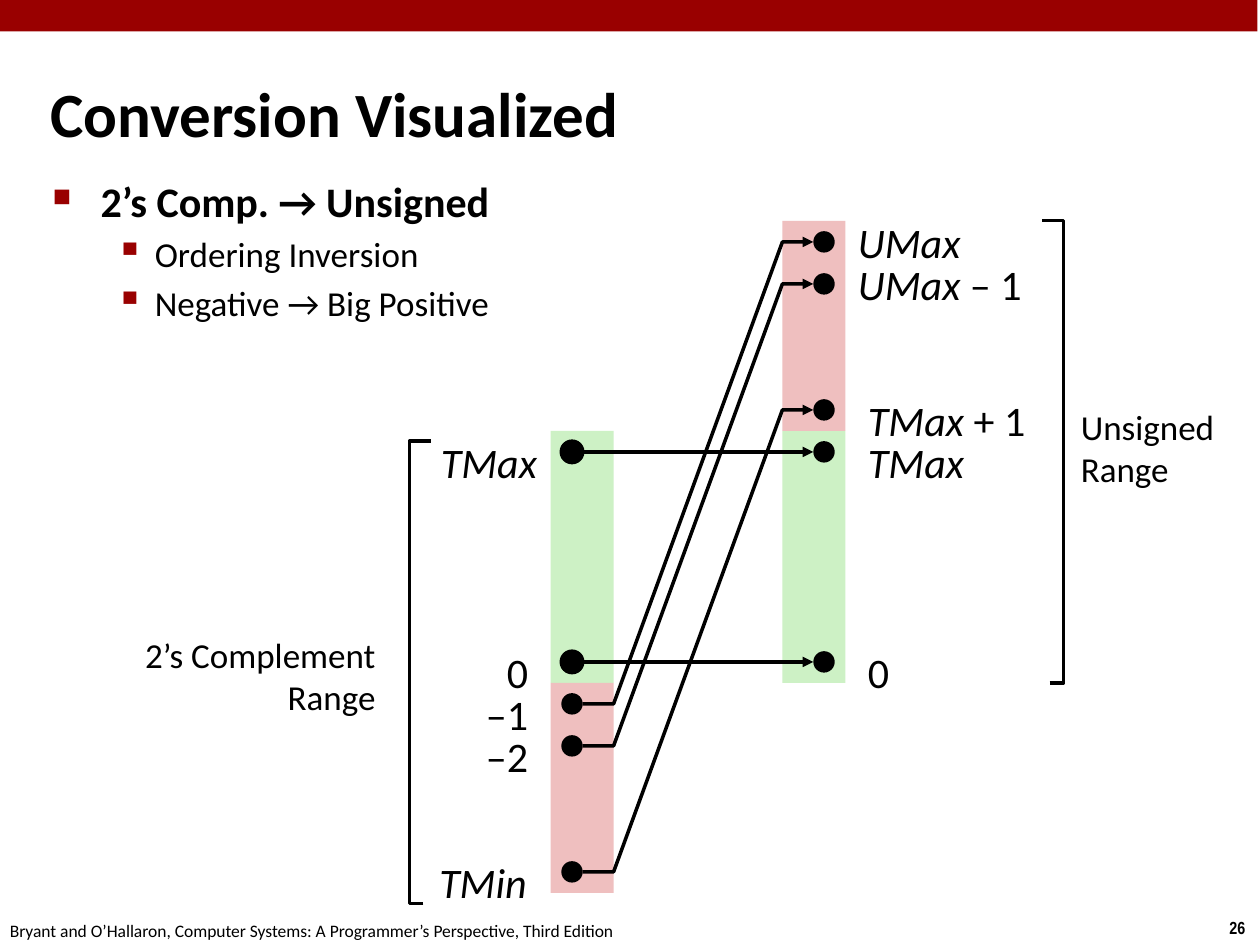
"""Build the slide that maps two's complement values onto unsigned values."""
from dataclasses import dataclass

from lxml.etree import SubElement
from pptx import Presentation
from pptx.dml.color import RGBColor
from pptx.enum.shapes import MSO_CONNECTOR, MSO_SHAPE
from pptx.enum.text import MSO_ANCHOR, PP_ALIGN
from pptx.oxml.ns import qn
from pptx.util import Inches, Pt


@dataclass(frozen=True)
class Theme:
    ink: str = "000000"
    accent: str = "990000"
    positive: str = "CDF1C5"
    shifted: str = "EFBFBF"
    font: str = "Calibri"
    number_font: str = "Arial Narrow"
    title: int = 36
    label: int = 24
    detail: int = 20
    footer: int = 10
    line: int = 2


THEME = Theme()
WIDTH, HEIGHT = 10, 7.5
ROW, FIRST_ROW = 1 / 3, 1.92
DOT, BAR_WIDTH = 0.17, 0.5
SIGNED_BAR, UNSIGNED_BAR = 4.37, 6.21
SIGNED_DOT, UNSIGNED_DOT = 4.54, 6.54

TITLE = "Conversion Visualized"
BULLETS = [
    (0, "2’s Comp. → Unsigned"),
    (1, "Ordering Inversion"),
    (1, "Negative → Big Positive"),
]
BULLET_STYLES = [
    {"mark": "■", "scale": 60, "margin": 0.38, "hang": 0.38, "size": THEME.label, "bold": True},
    {"mark": "▪", "scale": 110, "margin": 0.81, "hang": 0.31, "size": THEME.detail, "bold": False},
]
BARS = [
    (UNSIGNED_BAR, 4.5, 6, THEME.positive),
    (SIGNED_BAR, 4.5, 6, THEME.positive),
    (SIGNED_BAR, 10.5, 5, THEME.shifted),
    (UNSIGNED_BAR, -0.5, 5, THEME.shifted),
]
MAPPINGS = [(10, 10), (5, 5), (11, 0), (12, 1), (15, 4)]
SIGNED_LABELS = [
    (5, 4.36, [("TMax", True)]),
    (10, 4.29, [("0", False)]),
    (11, 4.29, [("–1", False)]),
    (12, 4.29, [("–2", False)]),
    (15, 4.28, [("TMin", True)]),
]
UNSIGNED_LABELS = [
    (0, 6.71, 0.25, [("UMax", True)]),
    (1, 6.71, 0.25, [("UMax", True), (" – 1", False)]),
    (4, 6.79, 0.17, [("TMax ", True), ("+ 1", False)]),
    (5, 6.79, 0.17, [("TMax", True)]),
    (10, 6.79, 0.17, [("0", False)]),
]
BRACKETS = [
    [(3.36, 7.17), (3.25, 7.17), (3.25, 3.5), (3.42, 3.5)],
    [(8.33, 5.42), (8.44, 5.42), (8.44, 1.75), (8.27, 1.75)],
]
RANGES = [
    (0.75, 4.98, 2.33, ["2’s Complement Range"], PP_ALIGN.RIGHT),
    (8.48, 3.17, 1.37, ["Unsigned", "Range"], PP_ALIGN.LEFT),
]
FOOTER = "Bryant and O’Hallaron, Computer Systems: A Programmer’s Perspective, Third Edition"
PAGE_NUMBER = "26"


def color(value):
    return RGBColor.from_string(value)


def row_y(row):
    return FIRST_ROW + row * ROW


def add_block(page, kind, left, top, width, height, fill):
    block = page.shapes.add_shape(kind, *map(Inches, (left, top, width, height)))
    block.shadow.inherit = False
    block.fill.solid()
    block.fill.fore_color.rgb = color(fill)
    block.line.fill.background()
    return block


def ink_line(shape, arrow=False):
    shape.line.color.rgb = color(THEME.ink)
    shape.line.width = Pt(THEME.line)
    if arrow:
        SubElement(shape.line._get_or_add_ln(), qn("a:tailEnd"), type="triangle")


def add_path(page, points, arrow=False):
    inches = [(Inches(x), Inches(y)) for x, y in points]
    builder = page.shapes.build_freeform(*inches[0])
    builder.add_line_segments(inches[1:], close=False)
    path_shape = builder.convert_to_shape()
    path_shape.shadow.inherit = False
    path_shape.fill.background()
    ink_line(path_shape, arrow)


def add_arrow(page, start, end):
    arrow = page.shapes.add_connector(MSO_CONNECTOR.STRAIGHT, *map(Inches, start + end))
    ink_line(arrow, arrow=True)
    SubElement(arrow._element.spPr, qn("a:effectLst"))


def add_box(page, left, top, width, height):
    box = page.shapes.add_textbox(*map(Inches, (left, top, width, height)))
    box.text_frame.word_wrap = True
    return box.text_frame


def add_span(para, text, size, bold=False, italic=False, font=THEME.font):
    span = para.add_run()
    span.text = text
    span.font.name = font
    span.font.size = Pt(size)
    span.font.bold = bold
    span.font.italic = italic
    span.font.color.rgb = color(THEME.ink)


def add_label(page, left, top, width, spans, align):
    para = add_box(page, left, top, width, 0.51).paragraphs[0]
    para.alignment = align
    for text, italic in spans:
        add_span(para, text, THEME.label, italic=italic)


def next_para(frame, index):
    return frame.add_paragraph() if index else frame.paragraphs[0]


def add_bullets(page):
    frame = add_box(page, 0.32, 1.34, 4.55, 1.88)
    for index, (level, text) in enumerate(BULLETS):
        style = BULLET_STYLES[level]
        para = next_para(frame, index)
        para.level = level
        if index:
            para.space_before = Pt(style["size"] * 0.2)
        properties = para._p.get_or_add_pPr()
        properties.set("marL", str(Inches(style["margin"])))
        properties.set("indent", str(-Inches(style["hang"])))
        SubElement(SubElement(properties, qn("a:buClr")), qn("a:srgbClr"), val=THEME.accent)
        SubElement(properties, qn("a:buSzPct"), val=str(style["scale"] * 1000))
        SubElement(properties, qn("a:buChar"), char=style["mark"])
        add_span(para, text, style["size"], bold=style["bold"])


def add_mapping(page, source, target):
    straight = source == target
    for center, row in ((SIGNED_DOT, source), (UNSIGNED_DOT, target)):
        dot = add_block(page, MSO_SHAPE.OVAL, center - DOT / 2, row_y(row) - DOT / 2, DOT, DOT, THEME.ink)
        if straight and center == SIGNED_DOT:
            ink_line(dot)
    start = (SIGNED_DOT + DOT / 2, row_y(source))
    end = (UNSIGNED_DOT - DOT / 2, row_y(target))
    if straight:
        add_arrow(page, start, end)
    else:
        bends = [(SIGNED_BAR + BAR_WIDTH, start[1]), (UNSIGNED_BAR, end[1])]
        add_path(page, [start, *bends, end], arrow=True)


def main():
    deck = Presentation()
    deck.slide_width, deck.slide_height = Inches(WIDTH), Inches(HEIGHT)
    page = deck.slides.add_slide(deck.slide_layouts[6])
    add_block(page, MSO_SHAPE.RECTANGLE, -0.02, 0, WIDTH, 0.25, THEME.accent)
    number = add_box(page, 9.66, 7.23, 0.34, 0.27).paragraphs[0]
    add_span(number, PAGE_NUMBER, THEME.footer, bold=True, font=THEME.number_font)
    add_span(add_box(page, -0.02, 7.25, 5.2, 0.27).paragraphs[0], FOOTER, THEME.footer)
    for left, row, rows, fill in BARS:
        add_block(page, MSO_SHAPE.RECTANGLE, left, row_y(row), BAR_WIDTH, rows * ROW, fill)
    for source, target in MAPPINGS:
        add_mapping(page, source, target)
    for row, right, spans in SIGNED_LABELS:
        add_label(page, right - 0.97, row_y(row) - 0.17, 0.97, spans, PP_ALIGN.RIGHT)
    for row, left, rise, spans in UNSIGNED_LABELS:
        add_label(page, left, row_y(row) - rise, 1.58, spans, PP_ALIGN.LEFT)
    for points in BRACKETS:
        add_path(page, points)
    for left, top, width, lines, align in RANGES:
        frame = add_box(page, left, top, width, 0.77)
        for index, text in enumerate(lines):
            para = next_para(frame, index)
            para.alignment = align
            add_span(para, text, THEME.detail)
    heading = add_box(page, 0.3, 0.58, 8.69, 0.63)
    heading.vertical_anchor = MSO_ANCHOR.MIDDLE
    add_span(heading.paragraphs[0], TITLE, THEME.title, bold=True)
    add_bullets(page)
    deck.save("out.pptx")


if __name__ == "__main__":
    main()
